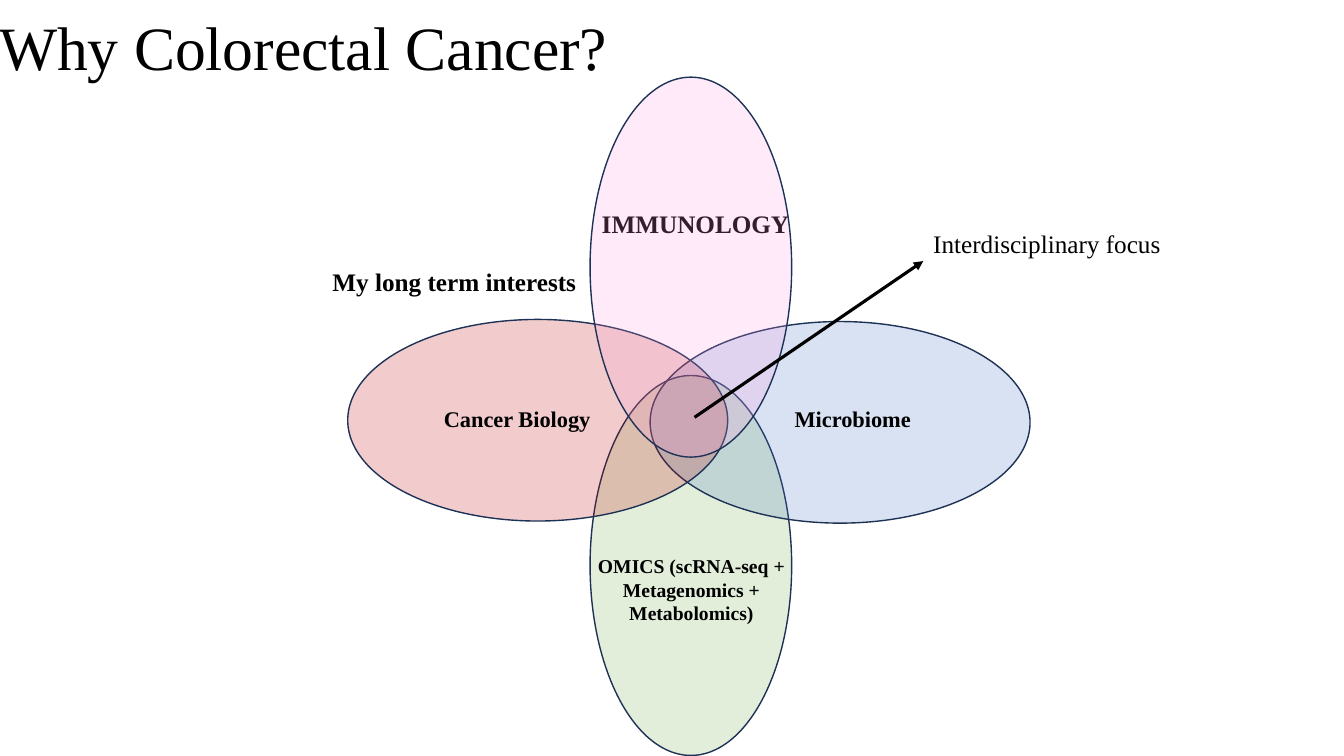
from lxml import etree
from pptx import Presentation
from pptx.dml.color import RGBColor
from pptx.enum import shapes, text
from pptx.oxml.ns import qn
from pptx.util import Pt

FONT = "Times New Roman"
BLACK = "000000"
OUTLINE = "1E3256"
PETAL_LENGTH, PETAL_WIDTH = 271.4, 144


def rgb(hex_colour):
    return RGBColor.from_string(hex_colour)


def format_text(frame, content, size, bold=False, align=text.PP_ALIGN.LEFT):
    frame.text = content
    frame.word_wrap = True
    paragraph = frame.paragraphs[0]
    paragraph.alignment = align
    for run in paragraph.runs:
        run.font.name = FONT
        run.font.size = Pt(size)
        run.font.bold = bold
        run.font.color.rgb = rgb(BLACK)


def add_title(slide, content):
    title = slide.shapes.title
    title.left, title.top, title.width, title.height = map(Pt, (-7.9, 8.6, 828, 104.4))
    format_text(title.text_frame, content, 44)
    title.text_frame.vertical_anchor = text.MSO_ANCHOR.TOP
    title.text_frame.paragraphs[0].line_spacing = 0.9


def add_petal(slide, left, top, colour, rotation=0):
    """Add one translucent ellipse of the Venn diagram."""
    petal = slide.shapes.add_shape(
        shapes.MSO_SHAPE.OVAL, Pt(left), Pt(top), Pt(PETAL_LENGTH), Pt(PETAL_WIDTH))
    petal.rotation = rotation
    petal.shadow.inherit = False
    petal.fill.solid()
    petal.fill.fore_color.rgb = rgb(colour)
    fill_colour = petal.fill._xPr.find(qn("a:solidFill"))[0]
    etree.SubElement(fill_colour, qn("a:alpha"), val="20000")
    petal.line.color.rgb = rgb(OUTLINE)
    petal.line.width = Pt(1)


def add_label(slide, content, left, top, width, height, size,
              bold=True, align=text.PP_ALIGN.CENTER):
    label = slide.shapes.add_textbox(Pt(left), Pt(top), Pt(width), Pt(height))
    format_text(label.text_frame, content, size, bold, align)


def add_arrow(slide, start, end):
    arrow = slide.shapes.add_connector(
        shapes.MSO_CONNECTOR.STRAIGHT, *map(Pt, (*start, *end)))
    arrow.line.color.rgb = rgb(BLACK)
    arrow.line.width = Pt(2.25)
    etree.SubElement(arrow.line._get_or_add_ln(), qn("a:tailEnd"), type="triangle")
    etree.SubElement(arrow._element.spPr, qn("a:effectLst"))


def main():
    presentation = Presentation()
    presentation.slide_width, presentation.slide_height = Pt(960), Pt(540)
    slide = presentation.slides.add_slide(presentation.slide_layouts[5])
    left_align = text.PP_ALIGN.LEFT

    add_title(slide, "Why Colorectal Cancer?")

    add_petal(slide, 357.8, 331.9, "70AD47", rotation=270)
    add_petal(slide, 464.4, 229.7, "4472C4")
    add_label(slide, "IMMUNOLOGY", 411.1, 145.4, 171.4, 29, 18)
    add_label(slide, "OMICS (scRNA-seq + Metagenomics + Metabolomics)",
              408.2, 392.4, 171.4, 58.3, 14)
    add_petal(slide, 248.4, 228.2, "C00000")
    add_petal(slide, 357.8, 118.8, "FA9ADF", rotation=270)

    add_label(slide, "Microbiome", 523.4, 285.8, 171.4, 26.6, 16)
    add_label(slide, "Cancer Biology", 283.7, 285.8, 171.4, 26.6, 16)
    add_label(slide, "My long term interests", 230.4, 186.5, 195.8, 29, 18,
              align=left_align)
    add_arrow(slide, (496.1, 298.1), (659.5, 186.5))
    add_label(slide, "Interdisciplinary focus", 659.5, 159.8, 195.8, 29, 18,
              bold=False, align=left_align)

    presentation.save("out.pptx")


if __name__ == "__main__":
    main()
